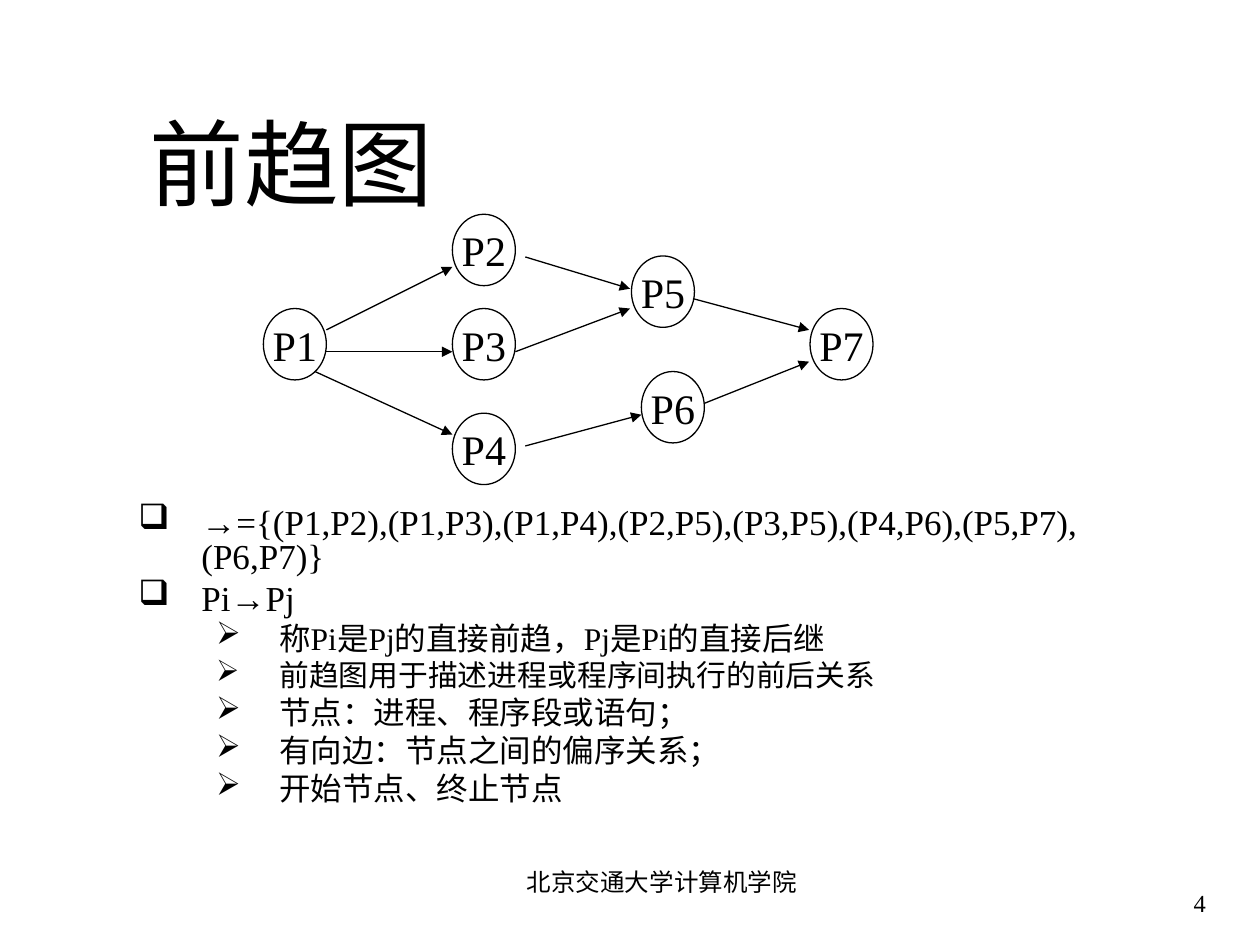
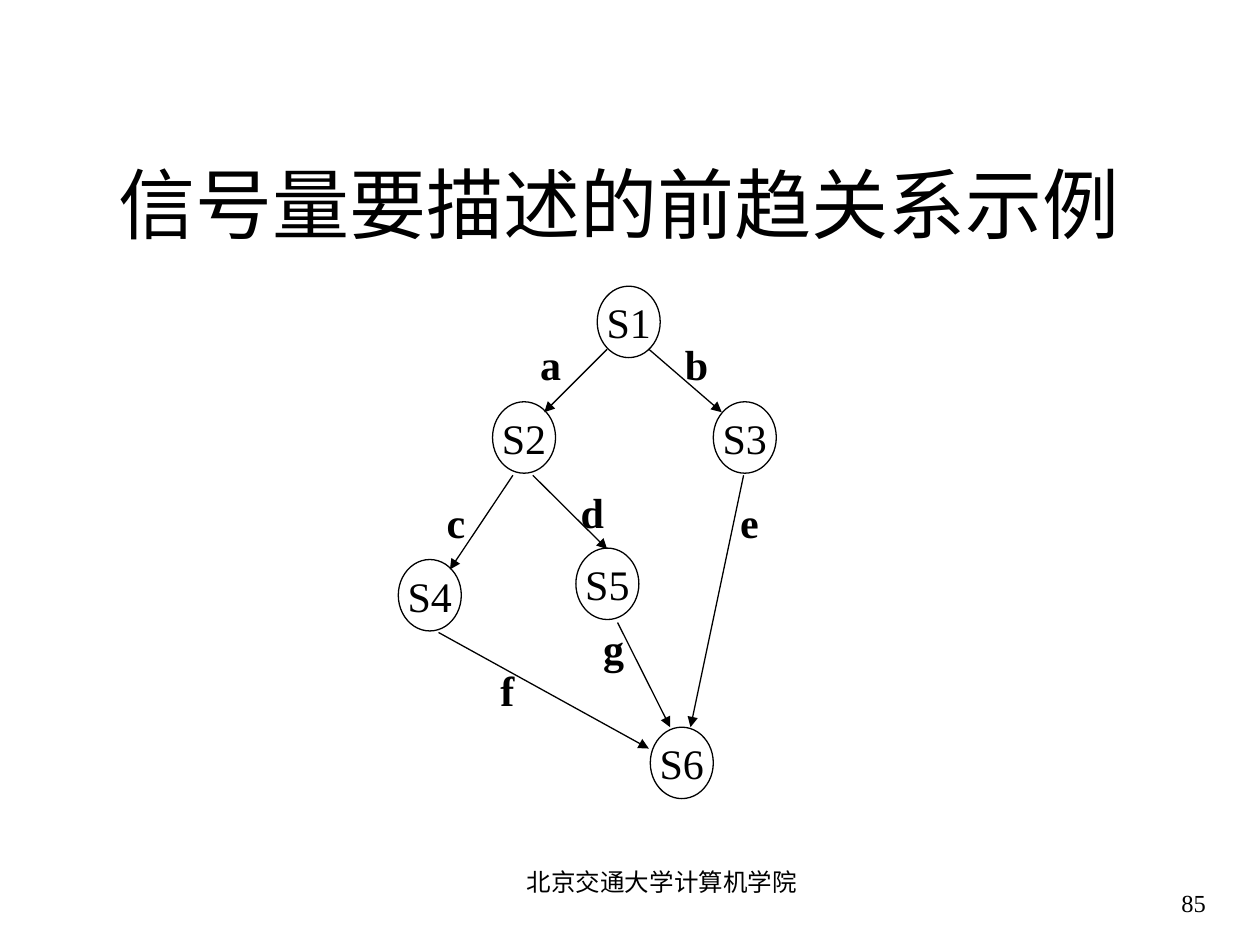
"""Build two slides on precedence graphs."""
from dataclasses import dataclass, field
from typing import Any, NamedTuple

from lxml.etree import SubElement
from pptx import Presentation
from pptx.dml.color import RGBColor
from pptx.enum.shapes import MSO_CONNECTOR as Connector, MSO_SHAPE as Preset
from pptx.enum.text import MSO_ANCHOR as Anchor, PP_ALIGN as Align
from pptx.oxml.ns import qn
from pptx.util import Cm, Pt

BLACK = "000000"
LATIN, ARROW_FONT, CHINESE = "Times New Roman", "Arial", "Noto Sans CJK SC"
NODE_WIDTH, NODE_HEIGHT = 1.27, 1.44
LABEL_WIDTH, LABEL_HEIGHT = 1.52, 1.02
LINE_WIDTH = 0.75
FOOTER = "北京交通大学计算机学院"


class Box(NamedTuple):
    """Left, top, width and height in centimetres."""
    left: float
    top: float
    width: float
    height: float

    def lengths(self) -> list[Cm]:
        """Return the four measures as lengths."""
        return [Cm(value) for value in self]


class Mark(NamedTuple):
    """A text placed at a top left corner."""
    text: str
    left: float
    top: float


class Edge(NamedTuple):
    """An arrow from one point to another."""
    from_x: float
    from_y: float
    to_x: float
    to_y: float


class Run(NamedTuple):
    """Text in one font."""
    text: str
    font: str = LATIN


@dataclass
class TextStyle:
    """Look of a text frame with one paragraph."""
    size: float
    align: Align = Align.LEFT
    anchor: Anchor = Anchor.TOP
    inset_x: float = 0.25
    inset_y: float = 0.13
    space_before: float = 0
    bold: bool = False
    wrap: bool = True


@dataclass
class Level:
    """Bullet and indent of an outline level."""
    bullet: str
    margin: float
    indent: float = -1.27


@dataclass
class Item:
    """One paragraph of the outline."""
    runs: list[Run]
    size: float = 18
    space_before: float = 4.5
    level: int = 1


@dataclass
class Graph:
    """Nodes, arrows and arrow labels."""
    nodes: list[Mark]
    edges: list[Edge]
    labels: list[Mark] = field(default_factory=list)


NUMBER_STYLE = TextStyle(14, Align.RIGHT, Anchor.BOTTOM)
FOOTER_STYLE = TextStyle(14, Align.CENTER, space_before=8.8)
NODE_STYLE = TextStyle(24, Align.CENTER, Anchor.MIDDLE, 0, 0, 15, wrap=False)
LABEL_STYLE = TextStyle(24, Align.CENTER, Anchor.MIDDLE, 0.05, 0, 15, bold=True)
LEVELS = [Level("❑", 1.27), Level("➢", 2.84)]

PROCESS_GRAPH = Graph(
    nodes=[Mark("P1", 5.31, 6.22), Mark("P2", 9.12, 4.32), Mark("P3", 9.12, 6.22),
           Mark("P4", 9.12, 8.33), Mark("P5", 12.73, 5.16), Mark("P6", 12.93, 7.49),
           Mark("P7", 16.33, 6.22)],
    edges=[Edge(6.58, 6.65, 9.12, 5.38), Edge(6.58, 7.09, 9.12, 7.09),
           Edge(10.59, 5.18, 12.7, 5.82), Edge(10.39, 7.09, 12.7, 6.22),
           Edge(6.35, 7.49, 9.12, 8.76), Edge(10.59, 8.99, 12.93, 8.36),
           Edge(14.2, 8.13, 16.31, 7.29), Edge(13.97, 6.02, 16.31, 6.65)],
)
SEMAPHORE_GRAPH = Graph(
    nodes=[Mark("S1", 12.04, 5.77), Mark("S2", 9.93, 8.1), Mark("S3", 14.38, 8.1),
           Mark("S4", 8.03, 11.28), Mark("S5", 11.61, 11.05), Mark("S6", 13.11, 14.66)],
    edges=[Edge(8.84, 12.75, 13.08, 15.09), Edge(12.24, 7.04, 10.97, 8.31),
           Edge(10.34, 9.58, 9.07, 11.48), Edge(10.74, 9.58, 12.24, 11.07),
           Edge(13.08, 7.04, 14.55, 8.31), Edge(14.99, 9.58, 13.92, 14.66),
           Edge(12.45, 12.55, 13.51, 14.66)],
    labels=[Mark("a", 10.34, 6.83), Mark("b", 13.28, 6.83), Mark("c", 8.43, 10.01),
            Mark("d", 11.18, 9.8), Mark("e", 14.35, 10.01), Mark("f", 9.47, 13.39),
            Mark("g", 11.61, 12.55)],
)
OUTLINE = [
    Item([Run("→", ARROW_FONT),
          Run("={(P1,P2),(P1,P3),(P1,P4),(P2,P5),(P3,P5),(P4,P6),(P5,P7),(P6,P7)}")],
         20, 5, 0),
    Item([Run("Pi"), Run("→", ARROW_FONT), Run("Pj")], 20, 5, 0),
    Item([Run("称Pi是Pj的直接前趋，Pj是Pi的直接后继")]),
    Item([Run("前趋图用于描述进程或程序间执行的前后关系")], 17, 4.2),
    Item([Run("节点：进程、程序段或语句；")]),
    Item([Run("有向边：节点之间的偏序关系；")]),
    Item([Run("开始节点、终止节点")]),
]


def color(value: str) -> RGBColor:
    """Turn a hex string into a colour."""
    return RGBColor.from_string(value)


def apply(target: Any, values: dict[str, Any]) -> None:
    """Set each named attribute on the target."""
    for name, value in values.items():
        setattr(target, name, value)


def add_runs(paragraph: Any, runs: list[Run], size: float, bold: bool = False) -> None:
    """Append runs with Latin and East Asian fonts."""
    for text, font_name in runs:
        run = paragraph.add_run()
        run.text = text
        apply(run.font, {"size": Pt(size), "name": font_name, "bold": bold})
        run.font.color.rgb = color(BLACK)
        east_asian = ARROW_FONT if font_name == ARROW_FONT else CHINESE
        SubElement(run.font._element, qn("a:ea"), typeface=east_asian)


def fill_text(shape: Any, runs: list[Run], style: TextStyle) -> None:
    """Write one styled paragraph into a shape."""
    frame = shape.text_frame
    apply(frame, {
        "word_wrap": style.wrap, "vertical_anchor": style.anchor,
        "margin_left": Cm(style.inset_x), "margin_right": Cm(style.inset_x),
        "margin_top": Cm(style.inset_y), "margin_bottom": Cm(style.inset_y),
    })
    paragraph = frame.paragraphs[0]
    apply(paragraph, {"alignment": style.align, "space_before": Pt(style.space_before)})
    add_runs(paragraph, runs, style.size, style.bold)


def add_text(shapes: Any, box: Box, runs: list[Run], style: TextStyle) -> None:
    """Add a text box."""
    fill_text(shapes.add_textbox(*box.lengths()), runs, style)


def draw_line(line: Any) -> None:
    """Give a line the shared colour and width."""
    line.color.rgb = color(BLACK)
    line.width = Pt(LINE_WIDTH)


def add_node(shapes: Any, node: Mark) -> None:
    """Add an unfilled ellipse with its name."""
    box = Box(node.left, node.top, NODE_WIDTH, NODE_HEIGHT)
    shape = shapes.add_shape(Preset.OVAL, *box.lengths())
    shape.shadow.inherit = False
    shape.fill.background()
    draw_line(shape.line)
    fill_text(shape, [Run(node.text)], NODE_STYLE)


def add_arrow(shapes: Any, edge: Edge) -> None:
    """Add a straight arrow."""
    connector = shapes.add_connector(Connector.STRAIGHT, *[Cm(value) for value in edge])
    draw_line(connector.line)
    SubElement(connector.line._get_or_add_ln(), qn("a:tailEnd"), type="triangle")
    SubElement(connector._element.spPr, qn("a:effectLst"))


def add_graph(shapes: Any, graph: Graph) -> None:
    """Draw nodes, then arrows, then labels."""
    for node in graph.nodes:
        add_node(shapes, node)
    for edge in graph.edges:
        add_arrow(shapes, edge)
    for label in graph.labels:
        box = Box(label.left, label.top, LABEL_WIDTH, LABEL_HEIGHT)
        add_text(shapes, box, [Run(label.text)], LABEL_STYLE)


def add_outline(shapes: Any, box: Box, items: list[Item]) -> None:
    """Add the bulleted two-level text."""
    frame = shapes.add_textbox(*box.lengths()).text_frame
    frame.word_wrap = True
    for index, item in enumerate(items):
        paragraph = frame.add_paragraph() if index else frame.paragraphs[0]
        apply(paragraph, {"level": item.level, "line_spacing": 0.8,
                          "space_before": Pt(item.space_before)})
        level = LEVELS[item.level]
        properties = paragraph._p.get_or_add_pPr()
        properties.set("marL", str(Cm(level.margin)))
        properties.set("indent", str(Cm(level.indent)))
        bullet_color = SubElement(properties, qn("a:buClr"))
        SubElement(bullet_color, qn("a:srgbClr"), val=BLACK)
        SubElement(properties, qn("a:buChar"), char=level.bullet)
        add_runs(paragraph, item.runs, item.size)


def add_slide(presentation: Any, number: int, title: list[Run], box: Box,
              size: float, anchor: Anchor) -> Any:
    """Add a blank slide with number, footer and title."""
    slide = presentation.slides.add_slide(presentation.slide_layouts[6])
    add_text(slide.shapes, Box(22.02, 17.35, 2.54, 1.27), [Run(str(number))], NUMBER_STYLE)
    add_text(slide.shapes, Box(9.32, 17.35, 8.05, 1.27), [Run(FOOTER)], FOOTER_STYLE)
    add_text(slide.shapes, box, title, TextStyle(size, Align.LEFT, anchor, 0.05, 0.03))
    return slide


def main() -> None:
    """Build and save the presentation."""
    presentation = Presentation()
    apply(presentation, {"slide_width": Cm(25.4), "slide_height": Cm(19.05)})

    slide = add_slide(presentation, 4, [Run("前趋图")],
                      Box(2.97, 1.9, 11.63, 2.54), 54, Anchor.BOTTOM)
    add_outline(slide.shapes, Box(2.54, 10.13, 20.75, 6.81), OUTLINE)
    add_graph(slide.shapes.add_group_shape().shapes, PROCESS_GRAPH)

    slide = add_slide(presentation, 85,
                      [Run("信号量要"), Run("描述的前趋关系示例", CHINESE)],
                      Box(2.34, 3.23, 21.16, 1.7), 44, Anchor.MIDDLE)
    add_graph(slide.shapes, SEMAPHORE_GRAPH)

    presentation.save("out.pptx")


if __name__ == "__main__":
    main()
